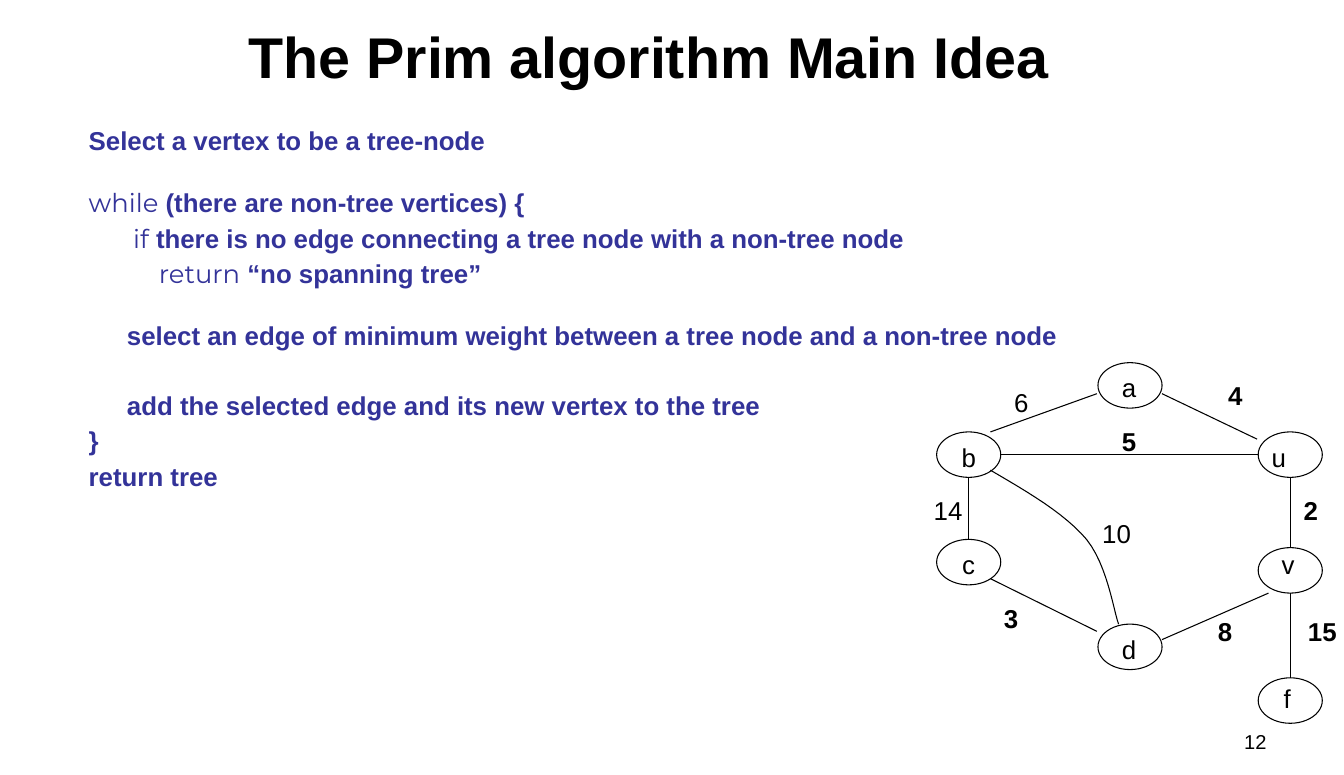
from pptx import Presentation
from pptx.dml.color import RGBColor
from pptx.enum.shapes import MSO_CONNECTOR as Conn, MSO_SHAPE as Shape
from pptx.enum.text import MSO_ANCHOR as Anchor, PP_ALIGN as Align
from pptx.oxml.ns import qn
from pptx.util import Inches, Pt
from lxml import etree

BLACK, BLUE = "000000", "333399"
NODE_W, NODE_H = 0.62, 0.44

NODES = [
    ("a", 1.69, 0, -0.01, 0.02),
    ("b", 0.13, 0.67, 0, 0.02),
    ("c", 0.13, 1.71, 0, 0.02),
    ("d", 1.69, 2.53, -0.01, 0.02),
    ("u", 3.24, 0.67, -0.11, 0.02),
    ("v", 3.24, 1.79, -0.02, -0.06),
    ("f", 3.24, 3.05, -0.03, -0.02),
]
EDGES = [
    ((0.44, 1.12), (0.44, 1.71)),
    ((0.65, 0.67), (1.68, 0.3)),
    ((0.65, 2.09), (1.68, 2.6)),
    ((2.31, 2.68), (3.34, 2.23)),
    ((2.31, 0.3), (3.23, 0.74)),
    ((3.55, 1.12), (3.55, 1.78)),
    ((0.75, 0.89), (3.24, 0.89)),
    ((3.55, 2.23), (3.55, 3.05)),
]
BENDS = [
    ((0.65, 1.04), (1.01, 1.25), (1.37, 1.46), (1.58, 1.71)),
    ((1.58, 1.71), (1.78, 1.96), (1.84, 2.39), (1.89, 2.53)),
]
WEIGHTS = [
    ("6", 0.95, 0.38, False),
    ("4", 3.02, 0.31, True),
    ("5", 1.99, 0.76, True),
    ("2", 3.75, 1.43, True),
    ("15", 3.86, 2.6, True),
    ("8", 2.92, 2.6, True),
    ("10", 1.87, 1.65, False),
    ("14", 0.24, 1.43, False),
    ("3", 0.85, 2.47, True),
]
CODE = [
    ("", "Select a vertex to be a tree-node", 0, 0),
    ("while", " (there are non-tree vertices) {", 0, 24),
    ("if", " there is no edge connecting a tree node with a non-tree node", 0.43, 5.2),
    ("return", " “no spanning tree”", 0.68, 5.2),
    ("", "select an edge of minimum weight between a tree node and a non-tree node", 0.37, 24),
    ("", "add the selected edge and its new vertex to the tree", 0.37, 29),
    ("", "}", 0, 5.2),
    ("", "return tree", 0, 5.2),
]


def tint(code):
    return RGBColor.from_string(code)


def style(font, size, color=BLACK, bold=False, name="Arial"):
    font.size, font.bold, font.name = Pt(size), bold, name
    font.color.rgb = tint(color)


def frame(slide, box, wrap=True):
    text = slide.shapes.add_textbox(*map(Inches, box)).text_frame
    text.word_wrap = wrap
    return text


def label(slide, box, words, size, align, bold=False, wrap=True):
    text = frame(slide, box, wrap)
    text.vertical_anchor = Anchor.MIDDLE
    para = text.paragraphs[0]
    para.text, para.alignment = words, align
    style(para.font, size, bold=bold)


def code(slide, box):
    text = frame(slide, box)
    for i, (key, rest, indent, gap) in enumerate(CODE):
        para = text.add_paragraph() if i else text.paragraphs[0]
        para.line_spacing = 0.9
        if gap:
            para.space_before = Pt(gap)
        para._p.get_or_add_pPr().set("marL", str(Inches(indent)))
        if key:
            run = para.add_run()
            run.text = key
            style(run.font, 18, BLUE, name="Montserrat")
        run = para.add_run()
        run.text = rest
        style(run.font, 18, BLUE, bold=True)


def pen(line):
    line.color.rgb, line.width = tint(BLACK), Pt(0.75)


def blend(bend, t):
    s = 1 - t
    parts = s ** 3, 3 * s * s * t, 3 * s * t * t, t ** 3
    return [sum(k * p[axis] for k, p in zip(parts, bend)) for axis in (0, 1)]


def mark(slide, x, y, words, bold=False):
    wide = 0.2 + 0.14 * len(words)
    label(slide, (x - wide / 2, y - 0.2, wide, 0.4), words, 18,
          Align.CENTER, bold, False)


def graph(slide, left, top):
    shapes = slide.shapes
    for name, x, y, dx, dy in NODES:
        box = left + x, top + y, NODE_W, NODE_H
        node = shapes.add_shape(Shape.OVAL, *map(Inches, box))
        node.shadow.inherit = False
        node.fill.background()
        pen(node.line)
    for start, end in EDGES:
        ends = [Inches(v) for x, y in (start, end) for v in (left + x, top + y)]
        edge = shapes.add_connector(Conn.STRAIGHT, *ends)
        pen(edge.line)
        etree.SubElement(edge._element.spPr, qn("a:effectLst"))

    steps = 12
    dots = [blend(bend, i / steps) for bend in BENDS for i in range(steps + 1)]
    dots = [(Inches(left + x), Inches(top + y)) for x, y in dots]
    path = shapes.build_freeform(*dots[0])
    path.add_line_segments(dots[1:], close=False)
    curve = path.convert_to_shape()
    curve.shadow.inherit = False
    curve.fill.background()
    pen(curve.line)

    for words, x, y, bold in WEIGHTS:
        mark(slide, left + x, top + y, words, bold)
    for name, x, y, dx, dy in NODES:
        mark(slide, left + x + NODE_W / 2 + dx, top + y + NODE_H / 2 + dy, name)


def main():
    deck = Presentation()
    deck.slide_width, deck.slide_height = Inches(13), Inches(7.5)
    slide = deck.slides.add_slide(deck.slide_layouts[6])
    label(slide, (9.32, 7, 3.03, 0.35), "12", 14, Align.RIGHT)
    label(slide, (0.75, 0, 11.05, 1.08), "The Prim algorithm Main Idea", 40,
          Align.CENTER, True)
    code(slide, (0.76, 1.19, 10.56, 5))
    graph(slide, 8.93, 3.51)
    deck.save("out.pptx")


if __name__ == "__main__":
    main()
